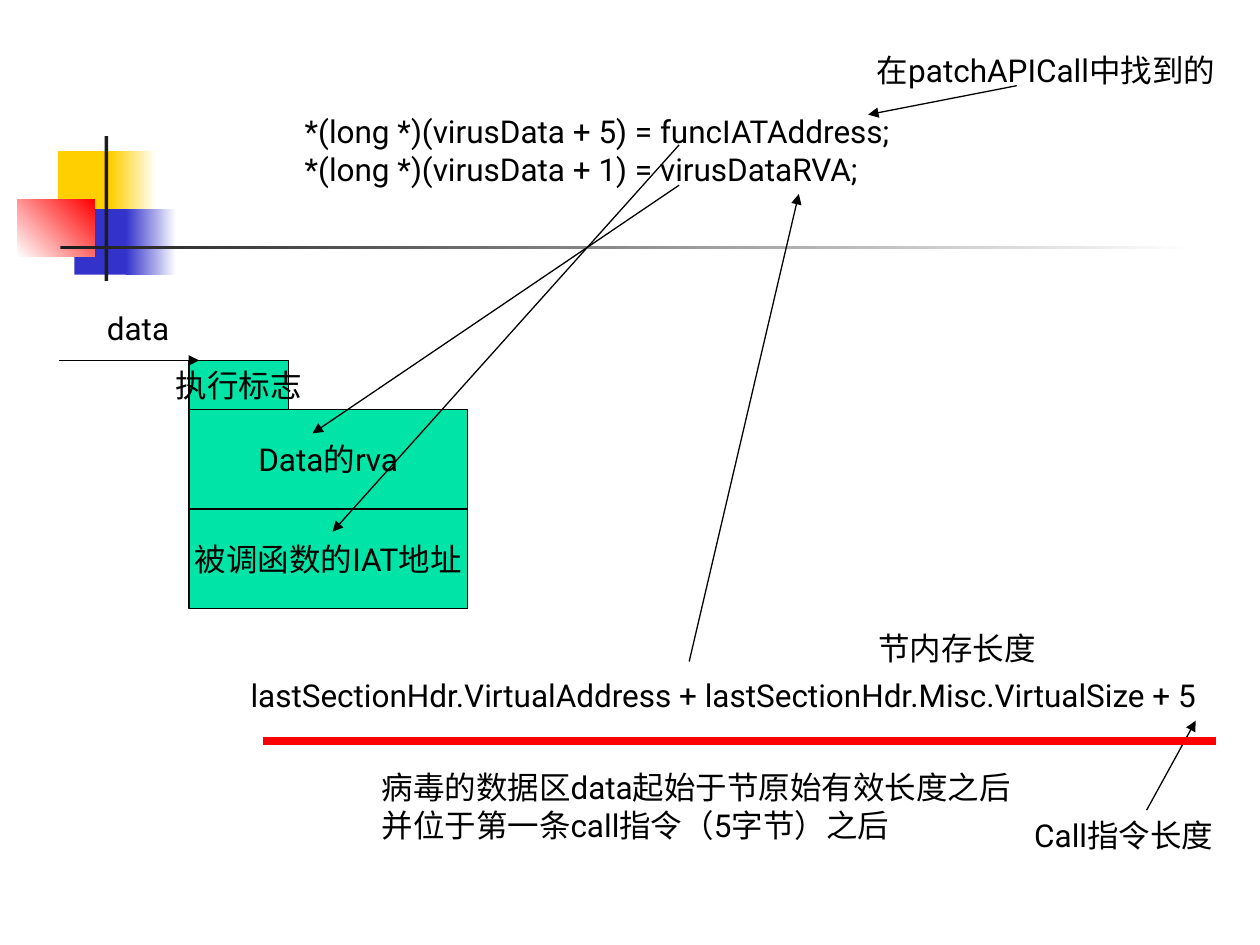
from dataclasses import dataclass

from lxml import etree
from pptx import Presentation
from pptx.dml.color import RGBColor
from pptx.enum import shapes, text
from pptx.oxml import ns
from pptx.util import Inches, Pt


@dataclass(frozen=True)
class Theme:
    font: str = "Roboto"
    size: float = 18
    thin: float = 0.75
    thick: float = 4.5
    ink: str = "000000"
    dark: str = "1C1C1C"
    white: str = "FFFFFF"
    gold: str = "FFCF01"
    blue: str = "3333CC"
    red: str = "FF0000"
    green: str = "00E4A8"


THEME = Theme()


def rgb(code):
    return RGBColor.from_string(code)


def write(frame, lines, align=None, anchor=text.MSO_ANCHOR.TOP, wrap=False):
    frame.word_wrap = wrap
    frame.vertical_anchor = anchor
    for i, line in enumerate(lines):
        para = frame.paragraphs[0] if i == 0 else frame.add_paragraph()
        para.alignment = align
        run = para.add_run()
        run.text = line
        run.font.name = THEME.font
        run.font.size = Pt(THEME.size)
        run.font.color.rgb = rgb(THEME.ink)


def label(slide, box, *lines, wrap=False):
    area = slide.shapes.add_textbox(*map(Inches, box))
    write(area.text_frame, lines, wrap=wrap)
    area.text_frame.auto_size = text.MSO_AUTO_SIZE.SHAPE_TO_FIT_TEXT


def block(slide, box):
    shape = slide.shapes.add_shape(shapes.MSO_SHAPE.RECTANGLE, *map(Inches, box))
    shape.shadow.inherit = False
    shape.line.fill.background()
    return shape


def paint(slide, box, start, end=None, angle=0):
    """Add a borderless block, solid or fading from start to end."""
    fill = block(slide, box).fill
    if end is None:
        fill.solid()
        fill.fore_color.rgb = rgb(start)
        return
    fill.gradient()
    fill.gradient_angle = angle
    for stop, code, place in zip(fill.gradient_stops, (start, end), (0, 1)):
        stop.color.rgb = rgb(code)
        stop.position = place


def cell(slide, box, words):
    """Add one field of the memory layout."""
    shape = block(slide, box)
    shape.fill.solid()
    shape.fill.fore_color.rgb = rgb(THEME.green)
    shape.line.color.rgb = rgb(THEME.ink)
    shape.line.width = Pt(THEME.thin)
    write(shape.text_frame, [words], align=text.PP_ALIGN.CENTER,
          anchor=text.MSO_ANCHOR.MIDDLE)


def link(slide, start, end, color=THEME.ink, width=THEME.thin, arrow=True):
    line = slide.shapes.add_connector(
        shapes.MSO_CONNECTOR.STRAIGHT, *map(Inches, (*start, *end)))
    line.line.color.rgb = rgb(color)
    line.line.width = Pt(width)
    if arrow:
        tail = etree.SubElement(line.line._get_or_add_ln(), ns.qn("a:tailEnd"))
        tail.set("type", "triangle")
    etree.SubElement(line._element.spPr, ns.qn("a:effectLst"))


def motif(slide):
    """Draw the coloured squares and the crossing bars."""
    paint(slide, (0.46, 1.2, 0.48, 0.52), THEME.gold)
    paint(slide, (0.88, 1.2, 0.36, 0.52), THEME.gold, THEME.white)
    paint(slide, (0.59, 1.66, 0.46, 0.52), THEME.blue)
    paint(slide, (1, 1.66, 0.4, 0.52), THEME.blue, THEME.white)
    paint(slide, (0.14, 1.58, 0.61, 0.46), THEME.white, THEME.red, angle=45)
    paint(slide, (0.83, 1.08, 0.03, 1.15), THEME.dark)
    paint(slide, (0.48, 1.95, 9, 0.03), THEME.dark, THEME.white)


def memory(slide):
    left, top, wide, high = 1.5, 3.25, 2.21, 0.79
    cell(slide, (left, top, wide, high), "Data的rva")
    cell(slide, (left, top - 0.39, high, 0.39), "执行标志")
    label(slide, (0.75, 2.4, 0.72, 0.4), "data")
    link(slide, (0.47, 2.86), (1.58, 2.86))
    cell(slide, (left, top + high, wide, high), "被调函数的IAT地址")


def code(slide):
    label(slide, (2.32, 0.84, 6.97, 0.7),
          "*(long *)(virusData + 5) = funcIATAddress;",
          "*(long *)(virusData + 1) = virusDataRVA;", wrap=True)
    link(slide, (5.39, 1.47), (2.48, 3.44))
    link(slide, (5.39, 1.15), (2.64, 4.22))
    label(slide, (6.86, 0.36, 3.05, 0.4), "在patchAPICall中找到的")
    link(slide, (8.07, 0.68), (6.89, 0.91))


def address(slide):
    label(slide, (1.89, 5.32, 8, 0.4),
          "lastSectionHdr.VirtualAddress + lastSectionHdr.Misc.VirtualSize + 5")
    link(slide, (5.47, 5.25), (6.34, 1.54))
    label(slide, (6.87, 4.94, 1.45, 0.4), "节内存长度")
    label(slide, (8.11, 6.43, 1.68, 0.4), "Call指令长度")
    link(slide, (9.1, 6.43), (9.49, 5.72))
    link(slide, (2.09, 5.88), (9.65, 5.88), color=THEME.red,
         width=THEME.thick, arrow=False)
    label(slide, (2.93, 6.05, 5.34, 0.7),
          "病毒的数据区data起始于节原始有效长度之后",
          "并位于第一条call指令（5字节）之后", wrap=True)


def main():
    deck = Presentation()
    deck.slide_width, deck.slide_height = Inches(10), Inches(7.5)
    slide = deck.slides.add_slide(deck.slide_layouts[6])
    motif(slide)
    memory(slide)
    code(slide)
    address(slide)
    deck.save("out.pptx")


if __name__ == "__main__":
    main()
